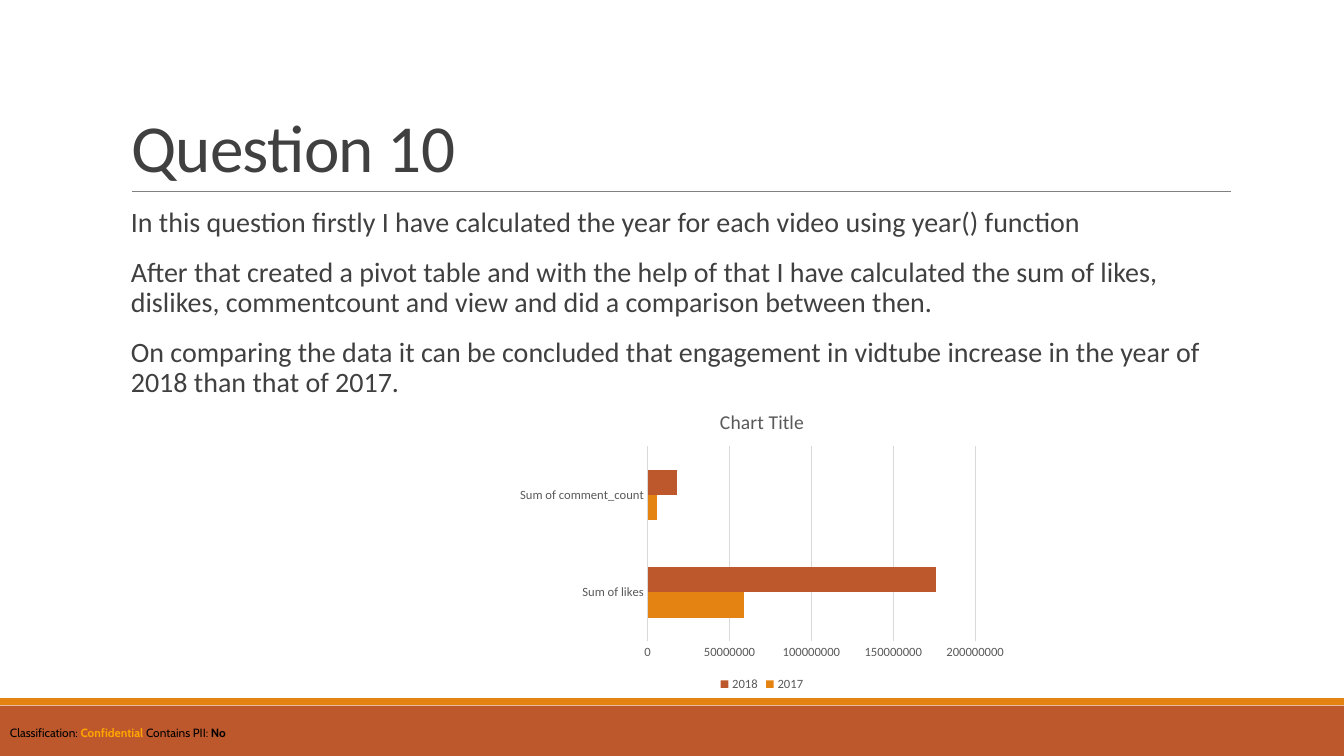
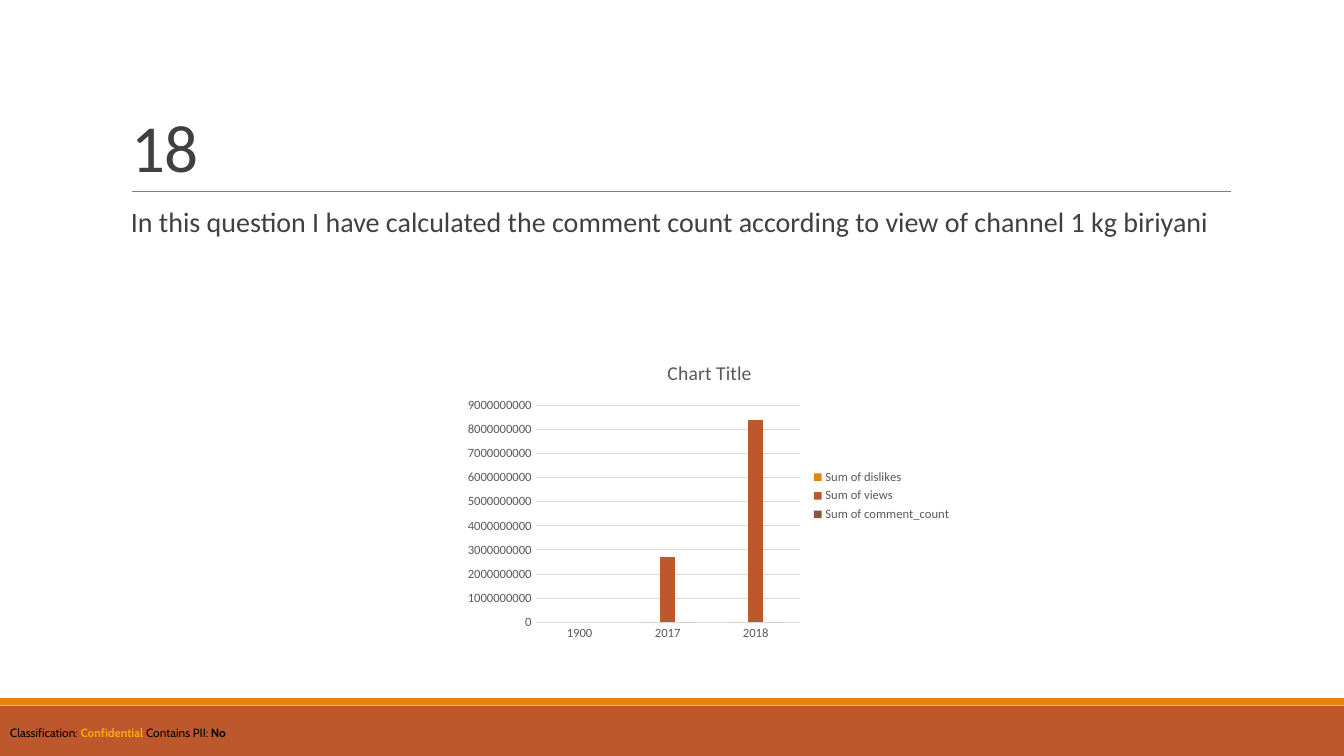
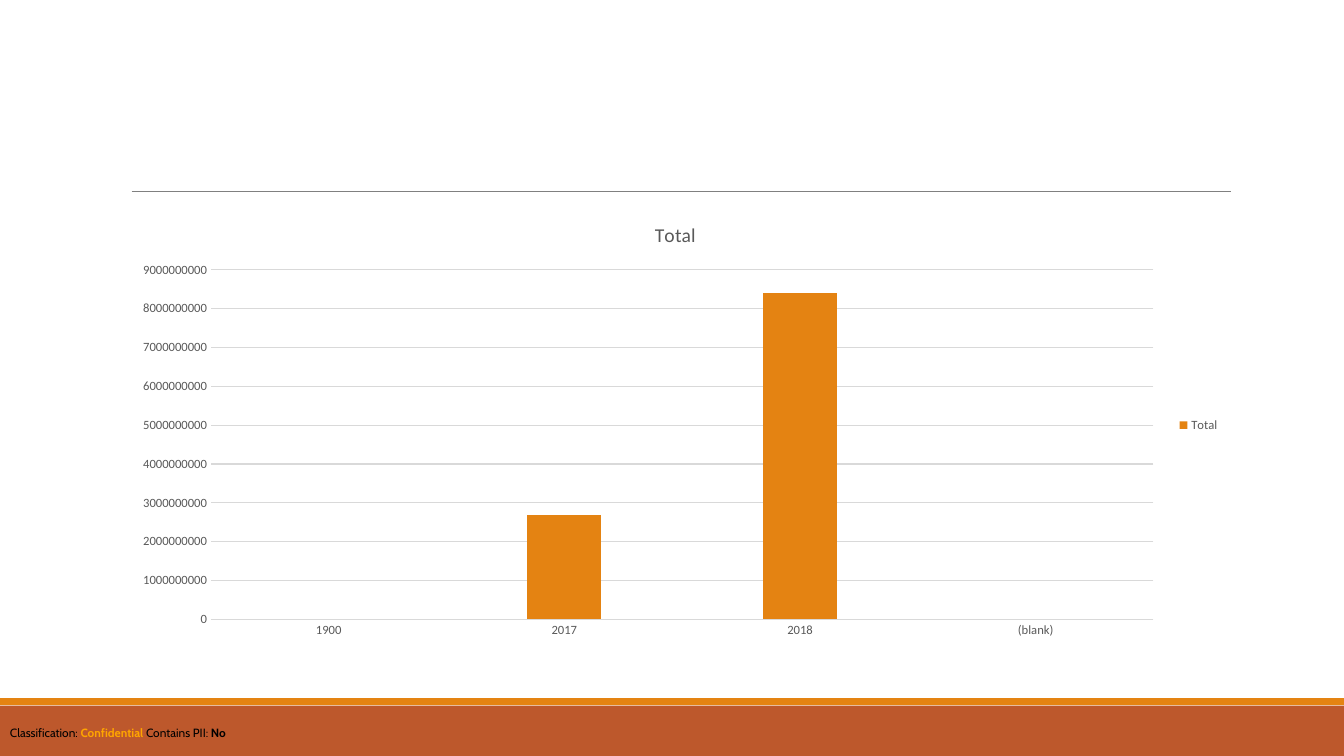
import pptx
import pptx.chart.data
import pptx.dml.color
import pptx.enum.chart
import pptx.enum.shapes
import pptx.enum.text
import pptx.oxml.ns
import pptx.util
from lxml import etree

Pt = pptx.util.Pt
RGBColor = pptx.dml.color.RGBColor
ChartType = pptx.enum.chart.XL_CHART_TYPE
LegendPosition = pptx.enum.chart.XL_LEGEND_POSITION

ORANGE = RGBColor(0xE4, 0x83, 0x12)
RUST = RGBColor(0xBD, 0x58, 0x2C)
BROWN = RGBColor(0x86, 0x56, 0x40)
AMBER = RGBColor(0xFF, 0xA5, 0x00)
BLACK = RGBColor(0x00, 0x00, 0x00)
INK = RGBColor(0x40, 0x40, 0x40)
CHART_INK = RGBColor(0x59, 0x59, 0x59)
RULE_GREY = RGBColor(0x80, 0x80, 0x80)
GRID_GREY = RGBColor(0xD9, 0xD9, 0xD9)

LEFT, CONTENT_WIDTH = 86.4, 792
BODY_TOP, BODY_HEIGHT = 145.33, 316.8

QUESTIONS = [
    {
        "title": "Question 10",
        "body": [
            "In this question firstly I have calculated the year for each video using year() function",
            "After that created a pivot table and with the help of that I have calculated the sum of likes, "
            "dislikes, commentcount and view and did a comparison between then.",
            "On comparing the data it can be concluded that engagement in vidtube increase in the year of "
            "2018 than that of 2017.",
        ],
        "chart_title": "Chart Title",
        "kind": ChartType.BAR_CLUSTERED,
        "area": (364.3, 280.8, 360, 216),
        "legend": LegendPosition.BOTTOM,
        "gap": 182,
        "overlap": 0,
        "categories": ["Sum of likes", "Sum of comment_count"],
        "series": [
            ("2017", [59000000, 6000000], ORANGE),
            ("2018", [176000000, 18000000], RUST),
        ],
    },
    {
        "title": "18",
        "body": [
            "In this question I have calculated the comment count according to view of channel 1 kg biriyani",
        ],
        "chart_title": "Chart Title",
        "kind": ChartType.COLUMN_CLUSTERED,
        "area": (326.9, 246.2, 360, 216),
        "legend": LegendPosition.RIGHT,
        "gap": 219,
        "overlap": -27,
        "categories": ["1900", "2017", "2018"],
        "series": [
            ("Sum of dislikes", [None, 0, 0], ORANGE),
            ("Sum of views", [None, 2700000000, 8400000000], RUST),
            ("Sum of comment_count", [None, 0, 0], BROWN),
        ],
    },
    {
        "title": None,
        "body": [],
        "chart_title": "Total",
        "kind": ChartType.COLUMN_CLUSTERED,
        "area": (LEFT, BODY_TOP, CONTENT_WIDTH, BODY_HEIGHT),
        "legend": LegendPosition.RIGHT,
        "gap": 219,
        "overlap": -27,
        "categories": ["1900", "2017", "2018", "(blank)"],
        "series": [("Total", [None, 2700000000, 8400000000, None], ORANGE)],
    },
]


def write(paragraph, text, size=20, color=INK, font="Calibri", bold=False):
    run = paragraph.add_run()
    run.text = text
    run.font.size = Pt(size)
    run.font.color.rgb = color
    run.font.name = font
    run.font.bold = bold
    return run


deck = pptx.Presentation()
deck.slide_width = Pt(960)
deck.slide_height = Pt(540)
title_only, blank = deck.slide_layouts[5], deck.slide_layouts[6]

for question in QUESTIONS:
    slide = deck.slides.add_slide(title_only if question["title"] else blank)
    shapes = slide.shapes

    for top, height, color in [(504, 36, RUST), (498.77, 5.04, ORANGE)]:
        band = shapes.add_shape(
            pptx.enum.shapes.MSO_SHAPE.RECTANGLE, Pt(0), Pt(top), Pt(960), Pt(height))
        band.shadow.inherit = False
        band.fill.solid()
        band.fill.fore_color.rgb = color
        band.line.fill.background()

    title_rule = shapes.add_connector(
        pptx.enum.shapes.MSO_CONNECTOR.STRAIGHT, Pt(94), Pt(136.84), Pt(879), Pt(136.84))
    title_rule.line.color.rgb = RULE_GREY
    title_rule.line.width = Pt(0.5)
    etree.SubElement(title_rule._element.spPr, pptx.oxml.ns.qn("a:effectLst"))

    classification = shapes.add_textbox(Pt(0), Pt(514.8), Pt(960), Pt(17.3)).text_frame
    classification.word_wrap = True
    for text, color, bold in [
        ("Classification: ", BLACK, False),
        ("Confidential", AMBER, True),
        (" Contains PII: ", BLACK, False),
        ("No", BLACK, True),
    ]:
        write(classification.paragraphs[0], text, size=8.5, color=color, font="Cabin", bold=bold)

    if question["title"]:
        title = shapes.title
        title.left, title.top = Pt(LEFT), Pt(22.57)
        title.width, title.height = Pt(CONTENT_WIDTH), Pt(114.23)
        title.text_frame.auto_size = pptx.enum.text.MSO_AUTO_SIZE.NONE
        title.text_frame.vertical_anchor = pptx.enum.text.MSO_ANCHOR.BOTTOM
        heading = title.text_frame.paragraphs[0]
        heading.alignment = pptx.enum.text.PP_ALIGN.LEFT
        heading.line_spacing = 0.85
        write(heading, question["title"], size=48).font._element.set("spc", "-50")

    if question["body"]:
        body = shapes.add_textbox(
            Pt(LEFT), Pt(BODY_TOP), Pt(CONTENT_WIDTH), Pt(BODY_HEIGHT)).text_frame
        body.word_wrap = True
        body.margin_right = Pt(0)
        for index, text in enumerate(question["body"]):
            paragraph = body.add_paragraph() if index else body.paragraphs[0]
            paragraph.line_spacing = 0.9
            paragraph.space_before = Pt(12 if index else 0)
            paragraph.space_after = Pt(2)
            write(paragraph, text)

    totals = pptx.chart.data.CategoryChartData(number_format="General")
    totals.categories = question["categories"]
    for name, values, color in question["series"]:
        totals.add_series(name, values)
    area = [Pt(length) for length in question["area"]]
    chart = shapes.add_chart(question["kind"], *area, totals).chart
    chart.font.size = Pt(9)
    chart.font.name = "Calibri"
    chart.font.color.rgb = CHART_INK

    chart.has_title = True
    write(chart.chart_title.text_frame.paragraphs[0], question["chart_title"],
          size=14, color=CHART_INK)
    chart.has_legend = True
    chart.legend.position = question["legend"]
    chart.legend.include_in_layout = False

    plot = chart.plots[0]
    plot.gap_width = question["gap"]
    plot.overlap = question["overlap"]
    plot.vary_by_categories = False
    for series, (name, values, color) in zip(plot.series, question["series"]):
        series.format.fill.solid()
        series.format.fill.fore_color.rgb = color
        series.invert_if_negative = False

    for axis in (chart.category_axis, chart.value_axis):
        axis.major_tick_mark = pptx.enum.chart.XL_TICK_MARK.NONE
        axis.minor_tick_mark = pptx.enum.chart.XL_TICK_MARK.NONE
    chart.value_axis.format.line.fill.background()
    chart.value_axis.has_major_gridlines = True
    for line in (chart.category_axis.format.line, chart.value_axis.major_gridlines.format.line):
        line.color.rgb = GRID_GREY
        line.width = Pt(0.75)

deck.save("out.pptx")
